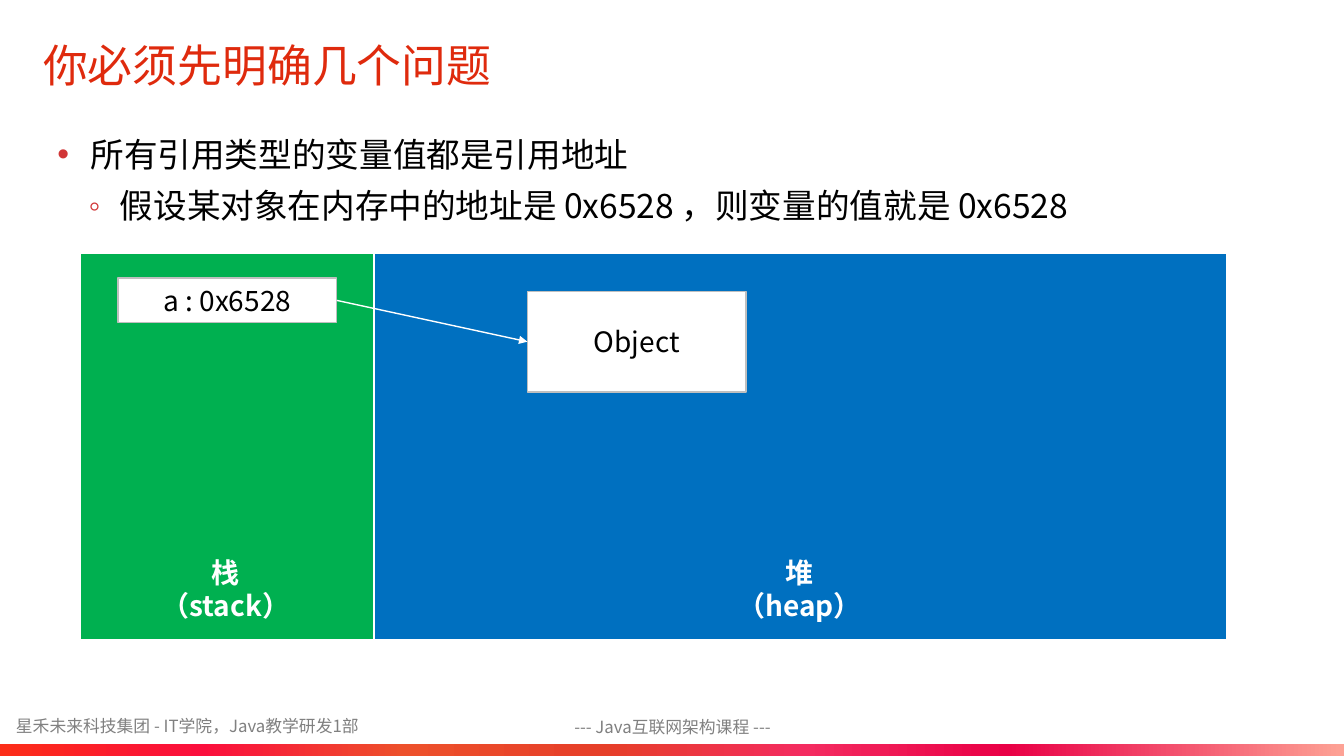
from lxml.etree import SubElement
from pptx import Presentation
from pptx.dml.color import RGBColor
from pptx.enum.shapes import MSO_CONNECTOR, MSO_SHAPE
from pptx.enum.text import MSO_ANCHOR, PP_ALIGN
from pptx.oxml.ns import qn
from pptx.util import Inches, Pt

FONT = "Noto Sans CJK SC"
WIDTH, HEIGHT = 13.33, 7.5
BLACK = RGBColor(0x00, 0x00, 0x00)
WHITE = RGBColor(0xFF, 0xFF, 0xFF)
GRAY = RGBColor(0x80, 0x80, 0x80)
BORDER = RGBColor(0xBF, 0xBF, 0xBF)
TITLE_RED = RGBColor(0xDF, 0x2A, 0x0D)
BULLET_RED = RGBColor(0xD1, 0x36, 0x37)
STACK_GREEN = RGBColor(0x00, 0xB0, 0x50)
HEAP_BLUE = RGBColor(0x00, 0x70, 0xC0)
BAND_STOPS = [
    (0, RGBColor(0xFC, 0x2D, 0x18)),
    (15, RGBColor(0xFB, 0x0F, 0x3D)),
    (30, RGBColor(0xED, 0x50, 0x2B)),
    (45, RGBColor(0xE6, 0x3F, 0x29)),
    (60, RGBColor(0xF4, 0x2B, 0x60)),
    (75, RGBColor(0xE9, 0x00, 0x46)),
    (100, RGBColor(0xFD, 0xA2, 0x95)),
]


def add_run(paragraph, text, size, color, bold=False):
    run = paragraph.add_run()
    run.text = text
    font = run.font
    font.name, font.size, font.bold = FONT, Pt(size), bold
    font.color.rgb = color
    SubElement(font._element, qn("a:ea"), typeface=FONT)


def write_lines(frame, lines, size, color, align=PP_ALIGN.LEFT, bold=False):
    """Fill a text frame with one vertically centred paragraph per line."""
    frame.word_wrap = True
    frame.vertical_anchor = MSO_ANCHOR.MIDDLE
    for index, line in enumerate(lines):
        paragraph = frame.add_paragraph() if index else frame.paragraphs[0]
        paragraph.alignment = align
        add_run(paragraph, line, size, color, bold)


def add_label(slide, box, lines, size, color, **style):
    label = slide.shapes.add_textbox(*map(Inches, box))
    write_lines(label.text_frame, lines, size, color, **style)


def add_block(slide, box, fill, border):
    block = slide.shapes.add_shape(MSO_SHAPE.RECTANGLE, *map(Inches, box))
    block.shadow.inherit = False
    block.fill.solid()
    block.fill.fore_color.rgb = fill
    block.line.color.rgb = border
    block.line.width = Pt(1)
    return block


def set_bullet(paragraph, symbol, left, hanging):
    props = paragraph._p.get_or_add_pPr()
    props.set("marL", str(Inches(left)))
    props.set("indent", str(-Inches(hanging)))
    bullet_color = SubElement(props, qn("a:buClr"))
    SubElement(bullet_color, qn("a:srgbClr"), val=str(BULLET_RED))
    SubElement(props, qn("a:buFont"), typeface="Arial")
    SubElement(props, qn("a:buChar"), char=symbol)


def add_points(slide, box):
    frame = slide.shapes.add_textbox(*map(Inches, box)).text_frame
    frame.word_wrap = True
    points = [
        ("所有引用类型的变量值都是引用地址", "•", 0.33, 0.33, 10),
        ("假设某对象在内存中的地址是 0x6528 ，则变量的值就是 0x6528", "◦", 0.62, 0.31, 5),
    ]
    for level, (text, symbol, left, hanging, before) in enumerate(points):
        paragraph = frame.add_paragraph() if level else frame.paragraphs[0]
        paragraph.level = level
        paragraph.alignment = PP_ALIGN.JUSTIFY
        paragraph.line_spacing = 1.1
        paragraph.space_before = Pt(before)
        set_bullet(paragraph, symbol, left, hanging)
        add_run(paragraph, text, 24, BLACK)


def add_reference_arrow(slide, variable, target):
    arrow = slide.shapes.add_connector(MSO_CONNECTOR.STRAIGHT, 0, 0, 0, 0)
    arrow.begin_connect(variable, 3)
    arrow.end_connect(target, 1)
    arrow.line.color.rgb = WHITE
    arrow.line.width = Pt(1)
    SubElement(arrow.line._get_or_add_ln(), qn("a:tailEnd"), type="triangle")
    SubElement(arrow._element.spPr, qn("a:effectLst"))


def add_memory_diagram(slide, box):
    """Stack and heap side by side, with a variable pointing at its object."""
    left, top, width, height = box
    stack_width, cell_width = 2.91, 2.17
    heap_left = left + stack_width
    add_block(slide, (left, top, stack_width, height), STACK_GREEN, WHITE)
    add_block(slide, (heap_left, top, width - stack_width, height), HEAP_BLUE, WHITE)

    cells = []
    for text, x, y, cell_height in [
        ("a : 0x6528", left + 0.37, top + 0.25, 0.44),
        ("Object", heap_left + 1.52, top + 0.38, 1),
    ]:
        cell = add_block(slide, (x, y, cell_width, cell_height), WHITE, BORDER)
        write_lines(cell.text_frame, [text], 20, BLACK, PP_ALIGN.CENTER)
        cells.append(cell)
    add_reference_arrow(slide, *cells)

    for name, x in [(("栈", "（stack）"), left + 0.65), (("堆", "（heap）"), heap_left + 3.43)]:
        add_label(slide, (x, top + 2.95, 1.58, 0.76), name, 20, WHITE,
                  align=PP_ALIGN.CENTER, bold=True)


def add_footer(slide, box):
    left, top, width, height = box
    band_height = 0.12
    add_label(slide, (left + 0.06, top, 4.42, 0.31),
              ["星禾未来科技集团 - IT学院，Java教学研发1部"], 12, GRAY)
    add_label(slide, (left + 4.95, top, 3.44, 0.32),
              ["--- Java互联网架构课程 ---"], 12, GRAY, align=PP_ALIGN.CENTER)

    band_box = (left, top + height - band_height, width, band_height)
    band = slide.shapes.add_shape(MSO_SHAPE.RECTANGLE, *map(Inches, band_box))
    band.shadow.inherit = False
    band.line.fill.background()
    band.fill.gradient()
    band.fill.gradient_angle = 0
    stops = band._element.spPr.find(qn("a:gradFill")).find(qn("a:gsLst"))
    for stop in list(stops):
        stops.remove(stop)
    for percent, color in BAND_STOPS:
        stop = SubElement(stops, qn("a:gs"), pos=str(percent * 1000))
        SubElement(stop, qn("a:srgbClr"), val=str(color))


def main():
    deck = Presentation()
    deck.slide_width, deck.slide_height = Inches(WIDTH), Inches(HEIGHT)
    slide = deck.slides.add_slide(deck.slide_layouts[6])
    add_footer(slide, (0, 7.05, WIDTH, HEIGHT - 7.05))
    add_points(slide, (0.47, 1.24, 12.4, 5.51))
    add_label(slide, (0.33, 0.29, 10.63, 0.71), ["你必须先明确几个问题"], 32, TITLE_RED)
    add_memory_diagram(slide, (0.8, 2.51, 11.37, 3.84))
    deck.save("out.pptx")


if __name__ == "__main__":
    main()
